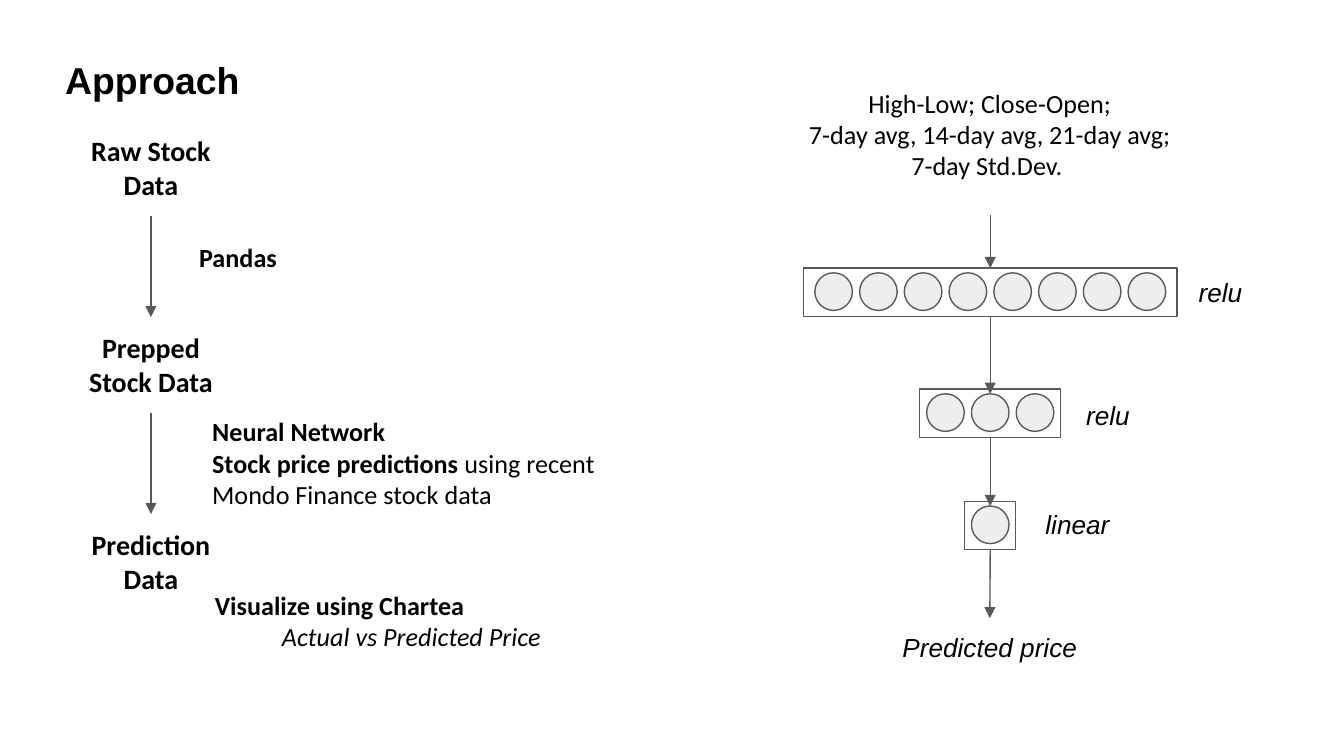
from lxml import etree
from pptx import Presentation
from pptx.dml.color import RGBColor
from pptx.enum.shapes import MSO_CONNECTOR, MSO_SHAPE
from pptx.enum.text import MSO_ANCHOR, PP_ALIGN
from pptx.oxml.ns import qn
from pptx.util import Inches, Pt

LEFT, CENTER = PP_ALIGN.LEFT, PP_ALIGN.CENTER
TOP, MIDDLE = MSO_ANCHOR.TOP, MSO_ANCHOR.MIDDLE
RECT, OVAL = MSO_SHAPE.RECTANGLE, MSO_SHAPE.OVAL
STRAIGHT = MSO_CONNECTOR.STRAIGHT

THEME = {
    "ink": RGBColor.from_string("000000"),
    "line": RGBColor.from_string("595959"),
    "node": RGBColor.from_string("EEEEEE"),
    "paper": RGBColor.from_string("FFFFFF"),
    "title": Pt(20),
    "stage": Pt(15),
    "note": Pt(14),
    "rule": Pt(0.75),
    "sans": "Arial",
    "body": "Calibri",
}

deck = Presentation()
deck.slide_width = Inches(10)
deck.slide_height = deck.slide_width * 9 // 16
slide = deck.slides.add_slide(deck.slide_layouts[6])
shapes = slide.shapes


def grid(*cells):
    return [round(cell * deck.slide_width / 100) for cell in cells]


def write(cells, lines, size=THEME["note"], font=THEME["body"],
          align=LEFT, anchor=TOP, inset=(1, 1), indent=0):
    box = shapes.add_textbox(*grid(*cells))
    frame = box.text_frame
    frame.word_wrap = True
    frame.vertical_anchor = anchor
    frame.margin_left = frame.margin_right = grid(inset[0])[0]
    frame.margin_top = frame.margin_bottom = grid(inset[1])[0]
    for row, line in enumerate(lines):
        para = frame.add_paragraph() if row else frame.paragraphs[0]
        para.alignment = align
        for words, style in line:
            run = para.add_run()
            run.text = words
            run.font.name, run.font.size = font, size
            run.font.bold, run.font.italic = "b" in style, "i" in style
            run.font.color.rgb = THEME["ink"]
    if indent:
        para._p.get_or_add_pPr().set("indent", str(grid(indent)[0]))
    return box


title = write((4.15, 3.2, 61.5, 5.8), [[("Approach", "b")]], size=THEME["title"],
              font=THEME["sans"], anchor=MIDDLE, inset=(0.7, 0.4))
title.text_frame.paragraphs[0].line_spacing = 0.9

stages = []
for row, (name, width) in enumerate([
    ("Raw Stock Data", 12.8),
    ("Prepped Stock Data", 14.2),
    ("Prediction Data", 14.2),
]):
    cells = (11.23 - width / 2, 8.95 + 14.65 * row, width, 7.1)
    stages.append(write(cells, [[(name, "b")]], size=THEME["stage"], align=CENTER))

write((13.83, 17, 35.4, 4.4), [[("Pandas", "b")]])
write((14.8, 29.93, 46.8, 9.1), [
    [("Neural Network", "b")],
    [("Stock price predictions ", "b"), ("using recent", "")],
    [("Mondo Finance stock data", "")],
])
write((15, 42.83, 35.4, 6.7), [
    [("Visualize using Chartea", "b")],
    [("Actual vs Predicted Price", "i")],
], indent=5)

mid, step, dot = 73.68, 3.33, 2.8
layers = []
for top, width, count, label, left, drop, wide in [
    (19.95, 27.8, 8, "relu", 88.2, 19.6, 5.5),
    (28.95, 10.5, 3, "relu", 79.83, 28.7, 5.5),
    (37.3, 3.8, 1, "linear", 76.8, 36.83, 7.2),
]:
    first = mid - ((count - 1) * step + dot) / 2
    parts = [(RECT, (mid - width / 2, top, width, 3.6), "paper")]
    parts += [(OVAL, (first + step * n, top + 0.35, dot, dot), "node")
              for n in range(count)]
    layer = []
    for kind, cells, tone in parts:
        part = shapes.add_shape(kind, *grid(*cells))
        part.shadow.inherit = False
        part.fill.solid()
        part.fill.fore_color.rgb = THEME[tone]
        part.line.color.rgb = THEME["line"]
        part.line.width = THEME["rule"]
        layer.append(part)
    layers.append(layer)
    write((left, drop, wide, 4.4), [[(label, "i")]], font=THEME["sans"])

write((mid - 14.58, 5.47, 29.1, 9.1), [
    [("High-Low; Close-Open;", "")],
    [("7-day avg, 14-day avg, 21-day avg;", "")],
    [("7-day Std.Dev. ", "")],
], align=CENTER)
price = write((mid - 7.58, 46, 15.1, 4.4), [[("Predicted price", "i")]],
              font=THEME["sans"], align=CENTER)

wide, slim, last = layers
for start, end in [
    (stages[0], stages[1]),
    (stages[1], stages[2]),
    (None, wide[0]),
    (wide[0], slim[2]),
    (slim[0], last[1]),
    (last[0], price),
]:
    arrow = shapes.add_connector(STRAIGHT, *grid(mid, 16, mid, 20))
    if start:
        arrow.begin_connect(start, 2)
    arrow.end_connect(end, 0)
    arrow.line.color.rgb = THEME["line"]
    arrow.line.width = THEME["rule"]
    etree.SubElement(arrow.line._get_or_add_ln(), qn("a:tailEnd"), type="triangle")
    etree.SubElement(arrow._element.spPr, qn("a:effectLst"))

deck.save("out.pptx")
